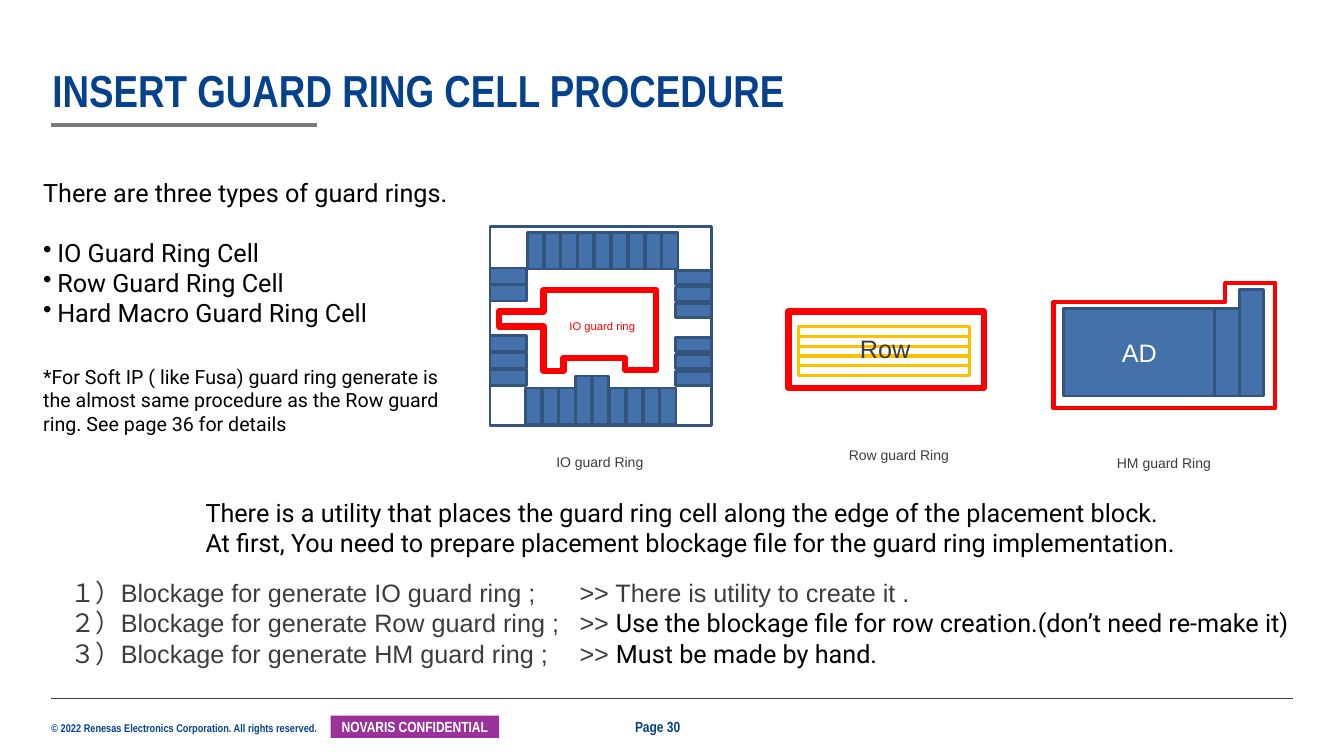
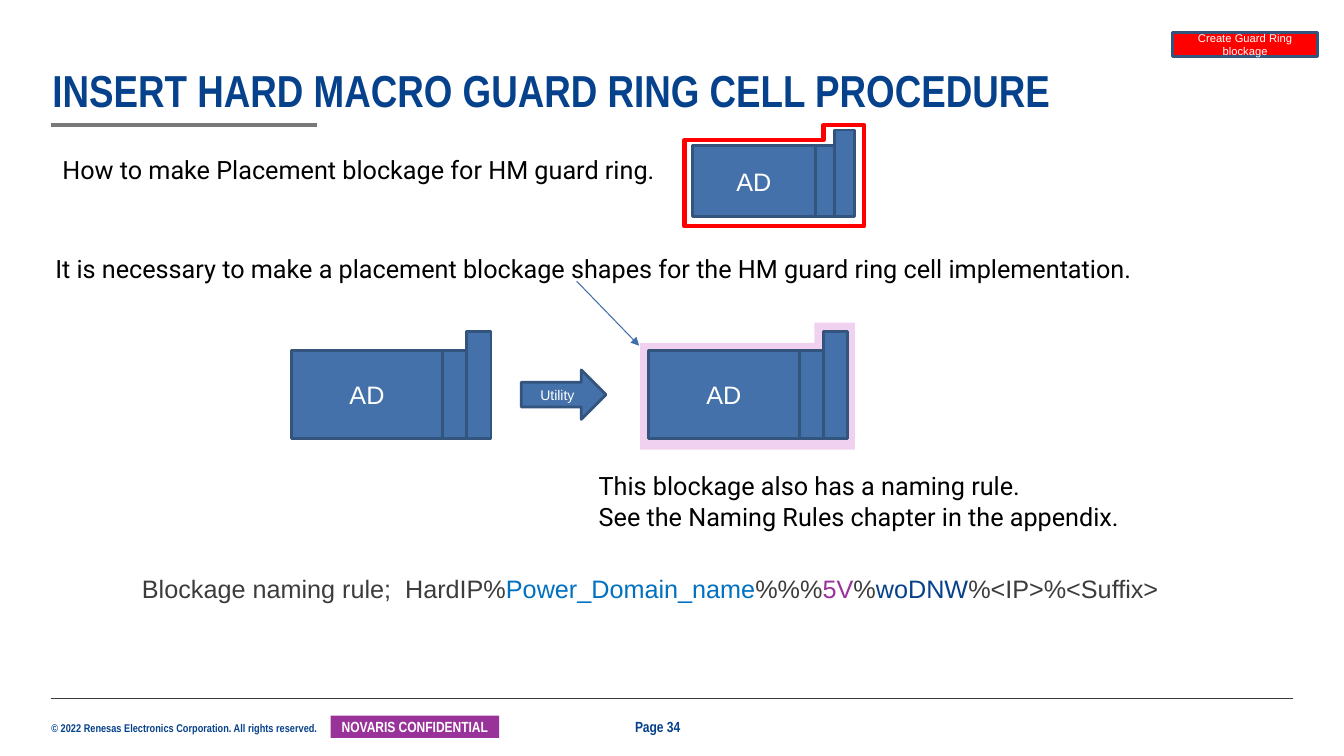
from lxml.etree import SubElement
from pptx import Presentation
from pptx.dml.color import RGBColor
from pptx.enum.shapes import MSO_CONNECTOR as Link, MSO_SHAPE as Kind
from pptx.enum.text import MSO_ANCHOR as Anchor, MSO_AUTO_SIZE as Auto, PP_ALIGN as Align
from pptx.oxml.ns import qn
from pptx.util import Inches, Pt

NAVY = RGBColor(0x06, 0x41, 0x8C)
INK = RGBColor(0x3C, 0x3C, 0x3B)
BLACK = RGBColor(0, 0, 0)
WHITE = RGBColor(255, 255, 255)
GRAY = RGBColor(0x79, 0x79, 0x79)
PURPLE = RGBColor(0x99, 0x33, 0x99)
PINK = RGBColor(0xF0, 0xD1, 0xF0)
RED = RGBColor(255, 0, 0)
GOLD = RGBColor(0xFF, 0xC0, 0)
BLUE = RGBColor(0x44, 0x71, 0xA9)
EDGE = RGBColor(0x32, 0x54, 0x7D)
ARROW = RGBColor(0x40, 0x6E, 0xA8)
SKY = RGBColor(0, 0x70, 0xC0)

SANS, NARROW, BODY = "Arial", "Arial Narrow", "Roboto"
STEP = 1.67


def cell(*nums):
    """Turn counts of grid cells, 75 to the slide height, into lengths."""
    return [Inches(n / 10) for n in nums]


def style(run, size, font, ink, bold=False):
    """Format one run."""
    run.font.size, run.font.name, run.font.bold = Pt(size), font, bold
    run.font.color.rgb = ink


def write(frame, text, size, font, ink, bold=False, align=Align.LEFT):
    """Fill a text frame, one paragraph a line."""
    frame.text = text
    for par in frame.paragraphs:
        par.alignment = align
        for run in par.runs:
            style(run, size, font, ink, bold)


def inset(frame, side, top):
    """Set the margins of a text frame."""
    frame.margin_left, frame.margin_right = cell(side, side)
    frame.margin_top, frame.margin_bottom = cell(top, top)


def label(slide, box, text, size=18, font=BODY, ink=BLACK, bold=False):
    """Add a wrapped text box and return its frame."""
    frame = slide.shapes.add_textbox(*cell(*box)).text_frame
    frame.word_wrap = True
    write(frame, text, size, font, ink, bold)
    return frame


def extend(par, text, ink, font=SANS):
    """Append a run to a paragraph."""
    run = par.add_run()
    run.text = text
    style(run, 18, font, ink)


def tab(par, pos):
    """Give a paragraph a left tab stop."""
    stops = SubElement(par._p.get_or_add_pPr(), qn("a:tabLst"))
    SubElement(stops, qn("a:tab"), pos=str(cell(pos)[0]), algn="l")


def bullet(par):
    """Give a paragraph a hanging bullet."""
    prop = par._p.get_or_add_pPr()
    gap = cell(1.4)[0]
    prop.set("marL", str(gap))
    prop.set("indent", str(-gap))
    SubElement(prop, qn("a:buChar"), char="•")


def paint(form, fill, edge, width):
    """Set fill and outline, and drop the shadow."""
    form.shadow.inherit = False
    if fill is None:
        form.fill.background()
    else:
        form.fill.solid()
        form.fill.fore_color.rgb = fill
    if edge is None:
        form.line.fill.background()
    else:
        form.line.color.rgb = edge
        form.line.width = Pt(width)


def block(slide, box, fill=BLUE, edge=EDGE, width=2, kind=Kind.RECTANGLE):
    """Add a preset shape."""
    form = slide.shapes.add_shape(kind, *cell(*box))
    paint(form, fill, edge, width)
    return form


def caption(form, text, size, font=SANS, bold=False):
    """Centre white text in a shape."""
    form.text_frame.vertical_anchor = Anchor.MIDDLE
    write(form.text_frame, text, size, font, WHITE, bold, Align.CENTER)


def rule(slide, start, end, ink, width):
    """Add a straight line."""
    line = slide.shapes.add_connector(Link.STRAIGHT, *cell(*start, *end))
    line.line.color.rgb = ink
    line.line.width = Pt(width)
    SubElement(line._element.spPr, qn("a:effectLst"))
    return line


def corner(slide, box, adj, fill=None, edge=None):
    """Add an L shape with its upright on the right."""
    form = block(slide, box, fill, edge, 3, Kind.CORNER)
    form.adjustments[0], form.adjustments[1] = adj
    form._element.spPr.find(qn("a:xfrm")).set("flipH", "1")


def macro(slide, x, y, zoom=1, ring=False):
    """Draw the hard macro, with its guard ring if asked."""
    def part(left, top, wide, high):
        return x + left * zoom, y + top * zoom, wide * zoom, high * zoom
    if ring:
        corner(slide, part(-1, -0.6, 22, 12.4), (0.85, 0.4), edge=RED)
    caption(block(slide, part(0, 1.9, 15, 8.7)), "AD", 18)
    block(slide, part(15, 1.9, 2.4, 8.7))
    block(slide, part(17.4, 0, 2.4, 10.6))


def stack(slide, box, count, step=STEP, **look):
    """Repeat a block downwards."""
    x, y, wide, high = box
    for i in range(count):
        block(slide, (x, y + i * step, wide, high), **look)


def chip(slide):
    """Draw the chip with its pads and the guard ring inside them."""
    block(slide, (48.6, 22.5, 22, 19.7), fill=None)
    for y in (26.8, 33.5):
        stack(slide, (67, y, 3.6, 1.4), 3)
    for y, count in ((26.6, 2), (33.3, 3)):
        stack(slide, (48.6, y, 3.6, 1.6), count)
    for i in range(9):
        block(slide, (52.3 + i * STEP, 23.1, 1.6, 3.6))
        top = 37.3 if i in (3, 4) else 38.5
        block(slide, (52.1 + i * STEP, top, 1.6, 42.1 - top))
    pts = [(53.9, 28.8), (65.1, 28.8), (65.1, 36.7), (62, 36.7),
           (62, 35.5), (55.9, 35.5), (55.9, 36.8), (53.9, 36.8),
           (53.9, 32.4), (49.5, 32.4), (49.5, 30.9), (53.9, 30.9)]
    path = [cell(*pt) for pt in pts]
    pen = slide.shapes.build_freeform(*path[0])
    pen.add_line_segments(path[1:])
    paint(pen.convert_to_shape(), None, RED, 4.5)
    label(slide, (55.5, 31.2, 9, 2.4), "IO guard ring", 8, SANS, RED)


def page(deck, text, num):
    """Start a slide with title, rules and footer."""
    slide = deck.slides.add_slide(deck.slide_layouts[5])
    title = slide.shapes.title
    title.left, title.top, title.width, title.height = cell(5.2, 6.8, 123, 4.8)
    frame = title.text_frame
    write(frame, text, 32, NARROW, NAVY, True)
    frame.auto_size = Auto.NONE
    frame.word_wrap = True
    frame.vertical_anchor = Anchor.BOTTOM
    frame.paragraphs[0].line_spacing = 0.9
    inset(frame, 0, 0)
    rule(slide, (5.1, 12.4), (31.4, 12.4), GRAY, 3)
    rule(slide, (5.1, 69.3), (128.2, 69.3), INK, 0.5)
    note = label(slide, (5.1, 71.6, 27.6, 1.3),
                 "© 2022 Renesas Electronics Corporation. All rights reserved.",
                 8, NARROW, NAVY, True)
    inset(note, 0, 0)
    badge = block(slide, (32.8, 71, 16.7, 2.2), PURPLE, None)
    caption(badge, "NOVARIS CONFIDENTIAL", 10.5, NARROW, True)
    inset(badge.text_frame, 0.4, 0)
    label(slide, (62, 70.7, 9, 2.8), f"Page {num}", 10.5, NARROW, NAVY, True)
    return slide


def kinds(deck):
    """Build the slide on the three guard rings."""
    slide = page(deck, "INSERT GUARD RING CELL PROCEDURE", 30)
    frame = label(slide, (3.3, 17.1, 44, 16.2),
                  "There are three types of guard rings.\nIO Guard Ring Cell\n"
                  "Row Guard Ring Cell\nHard Macro Guard Ring Cell")
    items = frame.paragraphs[1:]
    for par in items:
        bullet(par)
    items[0].space_before = Pt(21)
    label(slide, (3.3, 35.7, 44, 8.1),
          "*For Soft IP ( like Fusa) guard ring generate is\n"
          "the almost same procedure as the Row guard\n"
          "ring. See page 36 for details", 14)
    chip(slide)
    block(slide, (78.2, 30.9, 19.4, 7.6), None, RED, 4.5)
    stack(slide, (79.2, 32.4, 17, 1), 5, 0.97, fill=None, edge=GOLD)
    label(slide, (84.3, 32.6, 9, 4), "Row", 18, SANS, INK)
    macro(slide, 105.5, 28.7, ring=True)
    for x, y, name in ((54.2, 44.5, "IO"), (83.2, 43.8, "Row"), (109.8, 44.6, "HM")):
        label(slide, (x, y, 14, 2.7), f"{name} guard Ring", 10, SANS, INK)
    label(slide, (19.4, 48.8, 102, 7.1),
          "There is a utility that places the guard ring cell along the edge "
          "of the placement block.\nAt first, You need to prepare placement "
          "blockage file for the guard ring implementation.")
    steps = label(slide, (6, 56.8, 124, 10.1),
                  "１）Blockage for generate IO guard ring ;\t>> There is utility to create it .\n"
                  "２）Blockage for generate Row guard ring ;\t>> \n"
                  "３）Blockage for generate HM guard ring ;\t>> ", 18, SANS, INK).paragraphs
    for par in steps:
        tab(par, 50.5)
    extend(steps[1], "Use the blockage file for row creation.(don’t need re-make it)",
           BLACK, BODY)
    extend(steps[2], "Must be made by hand.", BLACK, BODY)


def hard(deck):
    """Build the slide on the hard macro guard ring."""
    slide = page(deck, "INSERT HARD MACRO GUARD RING CELL PROCEDURE", 34)
    label(slide, (5.2, 14.8, 63, 4),
          "How to make Placement blockage for HM guard ring.")
    macro(slide, 68.7, 12.9, 0.81, True)
    label(slide, (4.5, 24.6, 112, 4),
          "It is necessary to make a placement blockage shapes for the HM "
          "guard ring cell implementation.")
    macro(slide, 28.9, 32.9)
    arrow = block(slide, (51.7, 36.7, 8.4, 4.9), kind=Kind.RIGHT_ARROW)
    caption(arrow, "Utility", 10)
    corner(slide, (63.5, 32, 21.3, 12.6), (0.84, 0.32), PINK)
    macro(slide, 64.3, 32.9)
    line = rule(slide, (57.2, 27.9), (63.4, 34.3), ARROW, 0.75)
    SubElement(line.line._get_or_add_ln(), qn("a:tailEnd"), type="triangle")
    label(slide, (58.4, 46.2, 56, 7.1),
          "This blockage also has a naming rule.\n"
          "See the Naming Rules chapter in the appendix.")
    name = label(slide, (13.1, 56.4, 108, 4),
                 "Blockage naming rule;\tHardIP%", 18, SANS, INK).paragraphs[0]
    tab(name, 26.1)
    for text, ink in (("Power_Domain_name", SKY), ("%%%", INK), ("5V", PURPLE),
                      ("%", INK), ("woDNW", NAVY), ("%<IP>%<Suffix>", INK)):
        extend(name, text, ink)
    tag = block(slide, (116.3, 3.2, 14.4, 2.4), RED)
    caption(tag, "Create Guard Ring blockage", 8)


def main():
    """Build and save the deck."""
    deck = Presentation()
    deck.slide_width, deck.slide_height = Inches(13.33), Inches(7.5)
    kinds(deck)
    hard(deck)
    deck.save("out.pptx")


if __name__ == "__main__":
    main()
